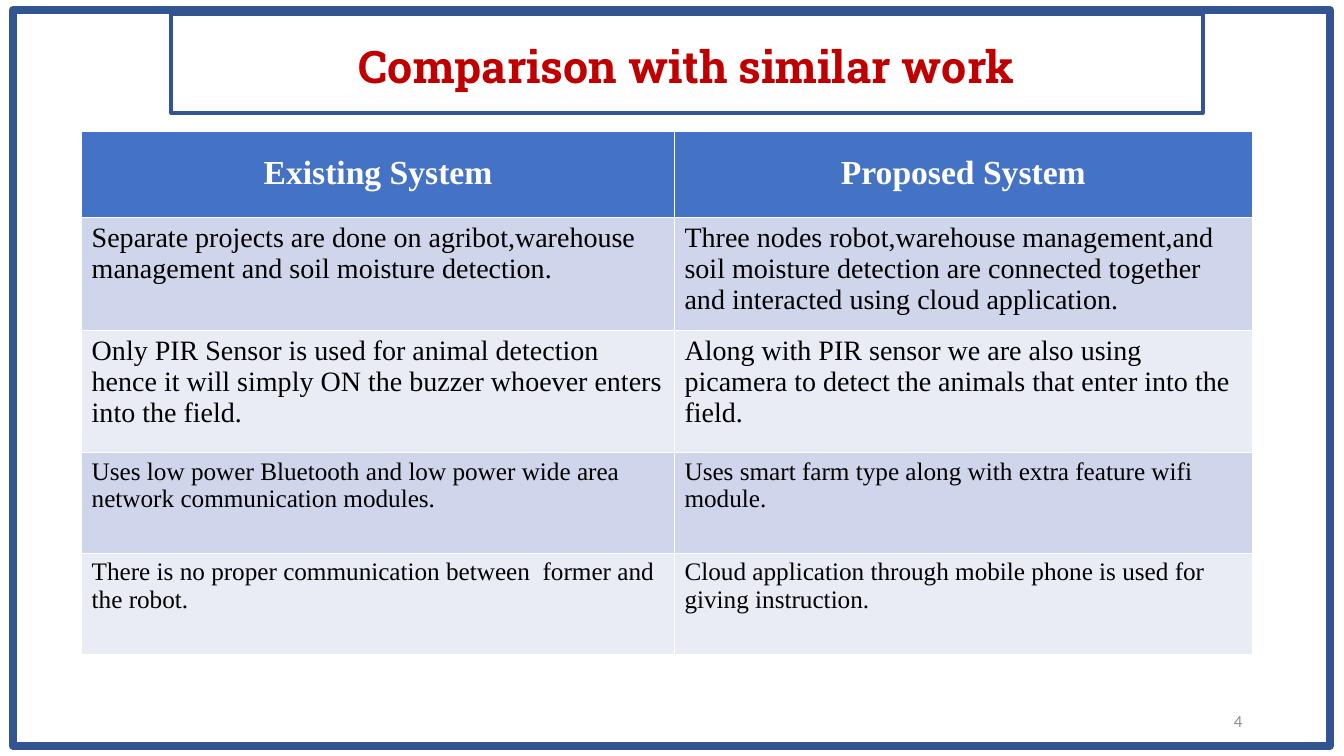
from dataclasses import dataclass
from typing import Optional

from pptx import Presentation
from pptx.dml.color import RGBColor
from pptx.enum.shapes import MSO_SHAPE
from pptx.enum.text import MSO_ANCHOR, PP_ALIGN
from pptx.util import Inches, Pt


@dataclass(frozen=True)
class Theme:
    frame: str = "325491"
    title: str = "C00000"
    header_fill: str = "4472C4"
    header_text: str = "FFFFFF"
    body_text: str = "000000"
    bands: tuple = ("CFD5EA", "E9EBF5")
    page_number: str = "8C8C8C"
    title_font: str = "Roboto Slab"
    table_font: str = "Times New Roman"
    number_font: str = "Calibri"
    title_size: int = 32
    header_size: int = 24
    number_size: int = 12


@dataclass(frozen=True)
class Style:
    font: str
    size: int
    color: str
    bold: bool = False
    align: Optional[PP_ALIGN] = None
    spacing: Optional[float] = None


@dataclass(frozen=True)
class Area:
    left: float
    top: float
    width: float
    height: float

    def lengths(self) -> list:
        return [Inches(n) for n in (self.left, self.top, self.width, self.height)]


@dataclass(frozen=True)
class Comparison:
    existing: str
    proposed: str
    height: float
    size: int


THEME = Theme()
COLUMN_WIDTHS = (5.88, 5.73)
HEADER = Comparison("Existing System", "Proposed System", 0.86, THEME.header_size)
COMPARISONS = (
    Comparison(
        "Separate projects are done on agribot,warehouse management and soil moisture detection.",
        "Three nodes robot,warehouse management,and soil moisture detection are connected "
        "together and interacted using cloud application.",
        1.12, 20),
    Comparison(
        "Only PIR Sensor is used for animal detection hence it will simply ON the buzzer "
        "whoever enters into the field.",
        "Along with PIR sensor we are also using picamera to detect the animals that enter "
        "into the field.",
        1.21, 20),
    Comparison(
        "Uses low power Bluetooth and low power wide area network communication modules.",
        "Uses smart farm type along with extra feature wifi module.",
        1, 18),
    Comparison(
        "There is no proper communication between  former and the robot.",
        "Cloud application through mobile phone is used for giving instruction.",
        1, 18),
)


def write(text_frame, text: str, style: Style) -> None:
    text_frame.word_wrap = True
    para = text_frame.paragraphs[0]
    para.text = text
    para.alignment = style.align
    para.line_spacing = style.spacing
    para.font.name = style.font
    para.font.size = Pt(style.size)
    para.font.bold = style.bold
    para.font.color.rgb = RGBColor.from_string(style.color)


def add_outline(page, area: Area, weight: float):
    """Add an unfilled rectangle with a line in the frame colour."""
    box = page.shapes.add_shape(MSO_SHAPE.RECTANGLE, *area.lengths())
    box.shadow.inherit = False
    box.fill.background()
    box.line.color.rgb = RGBColor.from_string(THEME.frame)
    box.line.width = Pt(weight)
    return box


def add_title(page) -> None:
    box = add_outline(page, Area(1.7, 0.14, 10.23, 0.98), 2.75)
    box.text_frame.vertical_anchor = MSO_ANCHOR.MIDDLE
    write(box.text_frame, "Comparison with similar work",
          Style(THEME.title_font, THEME.title_size, THEME.title, True, PP_ALIGN.CENTER, 1.07))


def add_page_number(page, number: int) -> None:
    box = page.shapes.add_textbox(*Area(9.42, 6.95, 3, 0.4).lengths())
    box.text_frame.vertical_anchor = MSO_ANCHOR.MIDDLE
    write(box.text_frame, str(number),
          Style(THEME.number_font, THEME.number_size, THEME.page_number, align=PP_ALIGN.RIGHT))


def add_comparison_table(page) -> None:
    rows = (HEADER, *COMPARISONS)
    area = Area(0.81, 1.3, sum(COLUMN_WIDTHS), sum(row.height for row in rows))
    table = page.shapes.add_table(len(rows), len(COLUMN_WIDTHS), *area.lengths()).table
    for column, width in zip(table.columns, COLUMN_WIDTHS):
        column.width = Inches(width)
    for index, row in enumerate(rows):
        table.rows[index].height = Inches(row.height)
        if row is HEADER:
            fill = THEME.header_fill
            style = Style(THEME.table_font, row.size, THEME.header_text, True,
                          PP_ALIGN.CENTER, 1.5)
        else:
            fill = THEME.bands[(index - 1) % len(THEME.bands)]
            style = Style(THEME.table_font, row.size, THEME.body_text)
        for cell, text in zip(table.rows[index].cells, (row.existing, row.proposed)):
            cell.fill.solid()
            cell.fill.fore_color.rgb = RGBColor.from_string(fill)
            write(cell.text_frame, text, style)


def main() -> None:
    deck = Presentation()
    deck.slide_width = Inches(13.33)
    deck.slide_height = Inches(7.5)
    page = deck.slides.add_slide(deck.slide_layouts[6])
    add_title(page)
    add_outline(page, Area(0.13, 0.1, 13.06, 7.3), 5.75)
    add_page_number(page, 4)
    add_comparison_table(page)
    deck.save("out.pptx")


if __name__ == "__main__":
    main()
